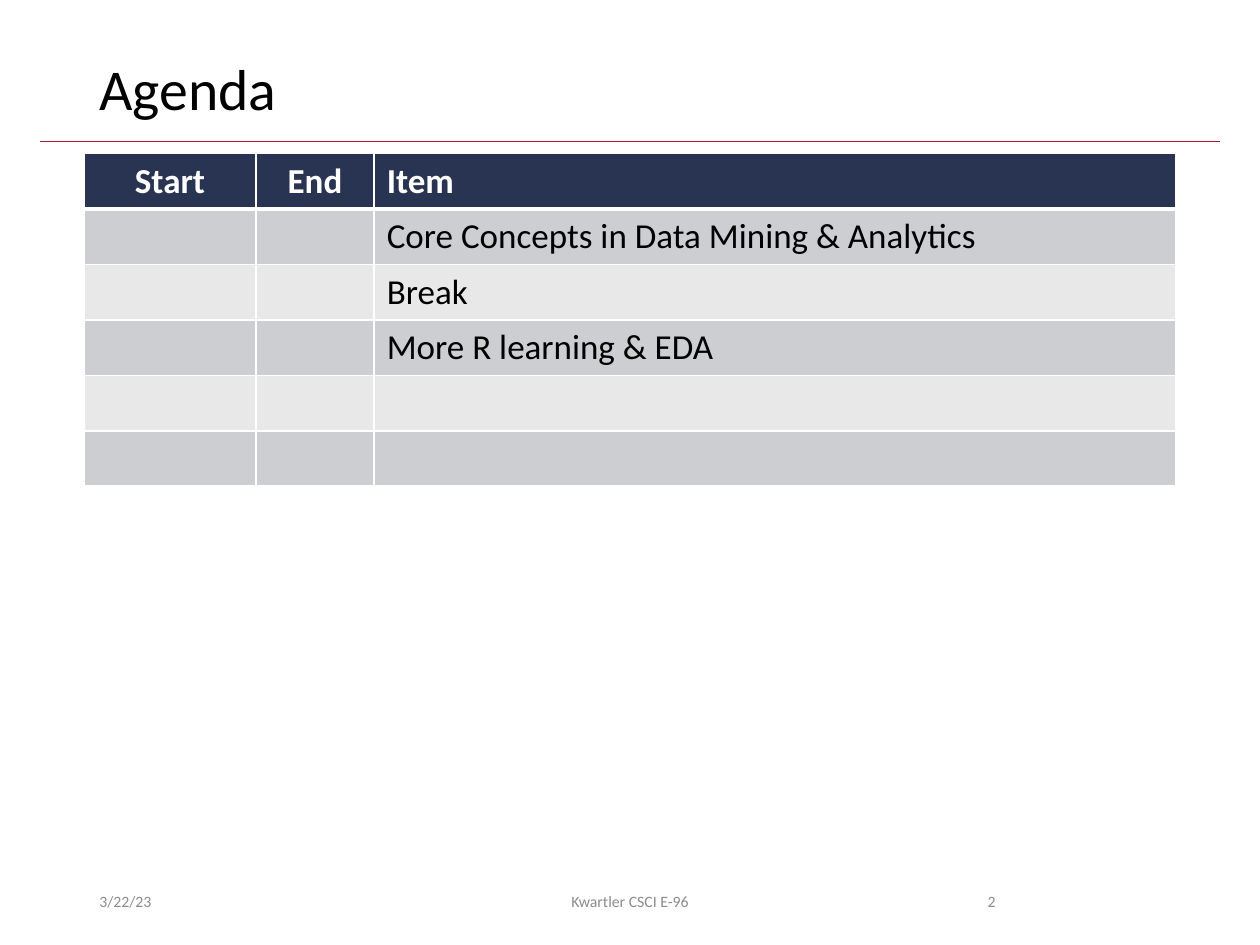
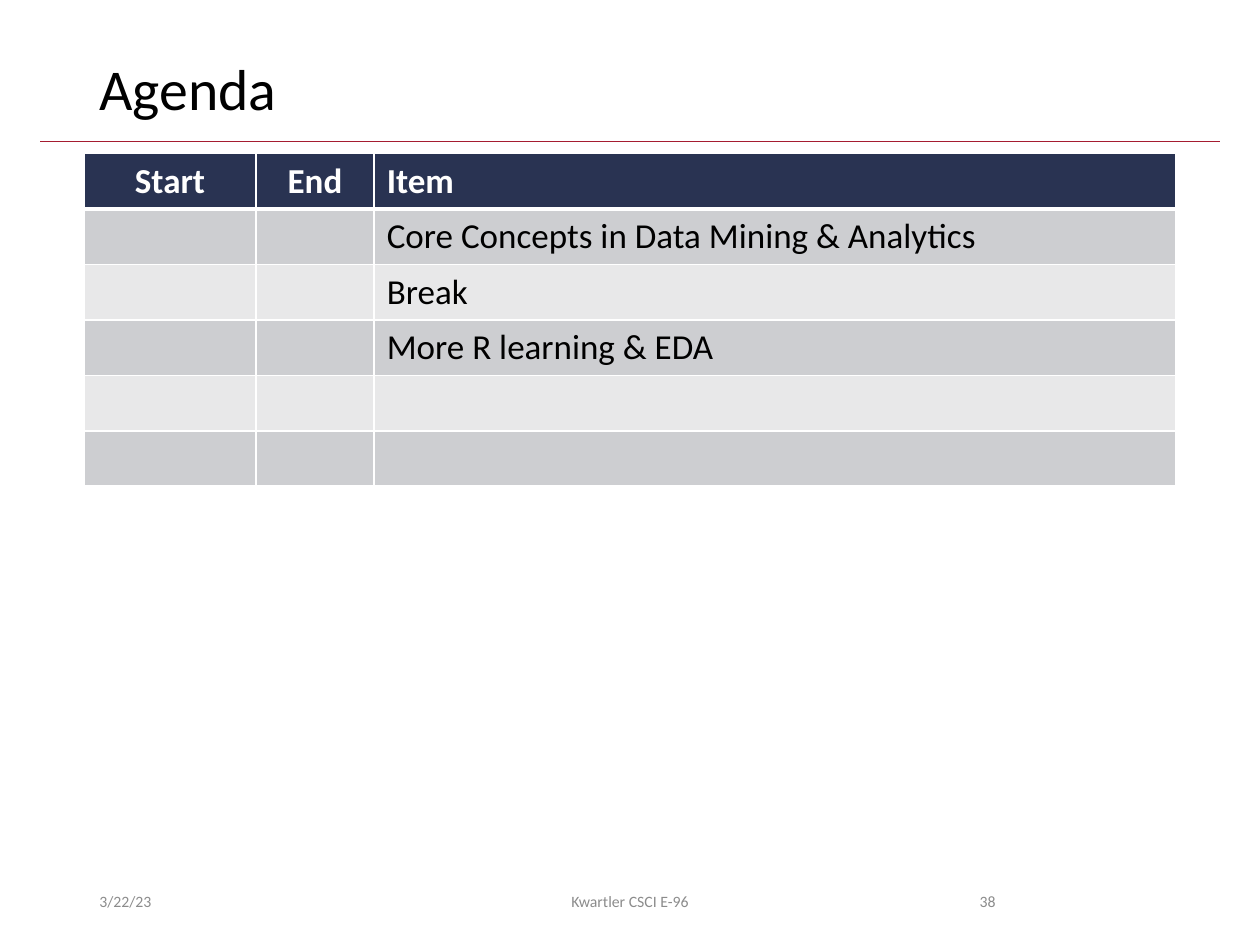
from lxml import etree
from pptx import Presentation
from pptx.dml.color import RGBColor
from pptx.enum import shapes, text
from pptx.oxml import ns
from pptx.util import Inches, Pt

HEADERS = ("Start", "End", "Item")
ITEMS = ("Core Concepts in Data Mining & Analytics", "Break", "More R learning & EDA", "", "")
SLIDES = (
    {"title": "Agenda", "number": "2"},
    {"title": "Agenda", "number": "38"},
)
DATE = "3/22/23"
COURSE = "Kwartler CSCI E-96"

FONT = "Calibri"
BLACK = RGBColor(0x00, 0x00, 0x00)
WHITE = RGBColor(0xFF, 0xFF, 0xFF)
CRIMSON = RGBColor(0xA5, 0x1C, 0x30)
NAVY = RGBColor(0x29, 0x33, 0x52)
FOOTER_GRAY = RGBColor(0x8C, 0x8C, 0x8C)
BANDS = (RGBColor(0xCD, 0xCE, 0xD1), RGBColor(0xE8, 0xE8, 0xE9))

LEFT, CENTER, RIGHT = text.PP_ALIGN.LEFT, text.PP_ALIGN.CENTER, text.PP_ALIGN.RIGHT
COLUMN_WIDTHS = (1.36, 0.94, 6.36)
COLUMN_ALIGNMENTS = (CENTER, CENTER, LEFT)
ROW_HEIGHT = 0.44
TABLE_LEFT, TABLE_TOP = 0.67, 1.22
FOOTER_TOP, FOOTER_HEIGHT = 6.95, 0.4


def format_text(frame, size, color, alignment=LEFT, bold=False):
    paragraph = frame.paragraphs[0]
    paragraph.alignment = alignment
    for run in paragraph.runs:
        run.font.name = FONT
        run.font.size = Pt(size)
        run.font.bold = bold
        run.font.color.rgb = color


def add_text(slide, content, box, size, color, alignment=LEFT):
    frame = slide.shapes.add_textbox(*map(Inches, box)).text_frame
    frame.word_wrap = True
    frame.vertical_anchor = text.MSO_ANCHOR.MIDDLE
    frame.text = content
    format_text(frame, size, color, alignment)
    return frame


def add_title(slide, title):
    frame = add_text(slide, title, (0.69, 0.4, 8.62, 0.65), 33, BLACK)
    frame.paragraphs[0].line_spacing = 0.9


def add_rule(slide):
    rule = slide.shapes.add_connector(
        shapes.MSO_CONNECTOR.STRAIGHT, *map(Inches, (0.32, 1.12, 9.68, 1.12)))
    rule.line.color.rgb = CRIMSON
    rule.line.width = Pt(0.5)
    etree.SubElement(rule._element.spPr, ns.qn("a:effectLst"))


def add_footer(slide, number):
    footers = (
        (DATE, 0.69, 2.25, LEFT),
        (number, 7.06, 0.94, RIGHT),
        (COURSE, 3.31, 3.38, CENTER),
    )
    for content, left, width, alignment in footers:
        box = (left, FOOTER_TOP, width, FOOTER_HEIGHT)
        add_text(slide, content, box, 9, FOOTER_GRAY, alignment)


def set_borders(cell, top, bottom):
    """Draw white borders, with top and bottom widths in points."""
    properties = cell._tc.get_or_add_tcPr()
    for side, width in (("L", 1), ("R", 1), ("T", top), ("B", bottom)):
        line = etree.SubElement(properties, ns.qn(f"a:ln{side}"), w=str(Pt(width)))
        fill = etree.SubElement(line, ns.qn("a:solidFill"))
        etree.SubElement(fill, ns.qn("a:srgbClr"), val=str(WHITE))


def add_agenda(slide):
    rows = [HEADERS] + [("", "", item) for item in ITEMS]
    box = (TABLE_LEFT, TABLE_TOP, sum(COLUMN_WIDTHS), ROW_HEIGHT * len(rows))
    table = slide.shapes.add_table(len(rows), len(HEADERS), *map(Inches, box)).table
    for column, width in zip(table.columns, COLUMN_WIDTHS):
        column.width = Inches(width)
    for row_index, row in enumerate(rows):
        is_header = row_index == 0
        table.rows[row_index].height = Inches(ROW_HEIGHT)
        for column_index, content in enumerate(row):
            cell = table.cell(row_index, column_index)
            set_borders(cell, 3 if row_index == 1 else 1, 3 if is_header else 1)
            cell.fill.solid()
            cell.fill.fore_color.rgb = NAVY if is_header else BANDS[(row_index - 1) % 2]
            cell.text_frame.text = content
            format_text(cell.text_frame, 20, WHITE if is_header else BLACK,
                        COLUMN_ALIGNMENTS[column_index], is_header)


def main():
    presentation = Presentation()
    presentation.slide_width = Inches(10)
    presentation.slide_height = Inches(7.5)
    for content in SLIDES:
        slide = presentation.slides.add_slide(presentation.slide_layouts[6])
        add_rule(slide)
        add_title(slide, content["title"])
        add_agenda(slide)
        add_footer(slide, content["number"])
    presentation.save("out.pptx")


if __name__ == "__main__":
    main()
